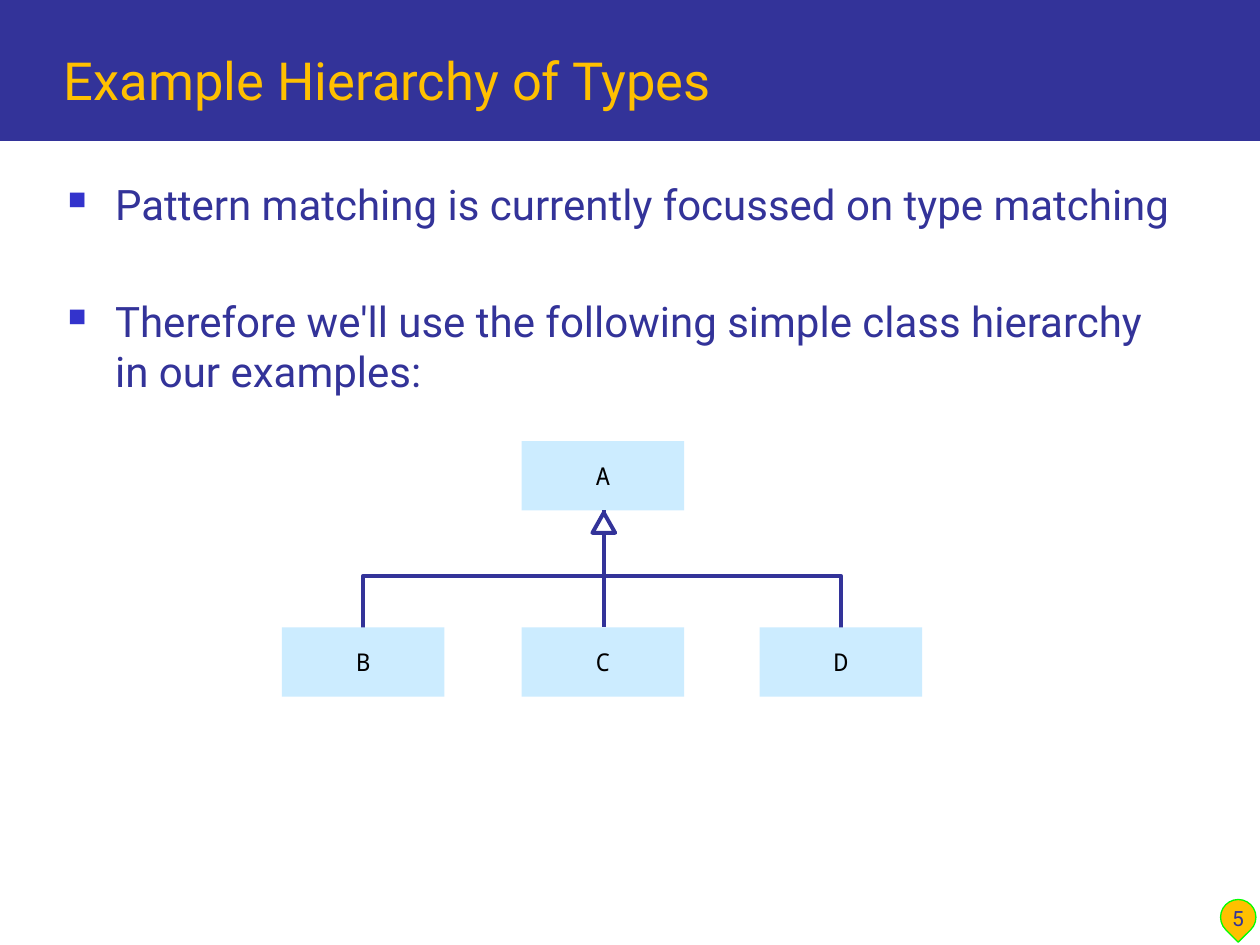
from dataclasses import dataclass

from lxml.etree import SubElement
from pptx import Presentation
from pptx.dml.color import RGBColor
from pptx.enum.shapes import MSO_CONNECTOR as Connector, MSO_SHAPE as Shape
from pptx.enum.text import MSO_ANCHOR as Anchor, PP_ALIGN as Align
from pptx.oxml.ns import qn
from pptx.util import Pt

COLORS = {
    "navy": "333399",
    "bullet": "3333CC",
    "gold": "FFC000",
    "green": "00FF00",
    "box": "CCECFF",
    "white": "FFFFFF",
    "black": "000000",
}
BOX_W, BOX_H = 93, 39.6
LINE_W = 2.25
TOP_Y, CHILD_Y, BAR_Y = 252, 358.5, 329
STEM_X = 345


@dataclass(frozen=True)
class TypeBox:
    name: str
    x: float
    y: float


PARENT = TypeBox("A", 298, TOP_Y)
LEFT, MIDDLE, RIGHT = (
    TypeBox(name, x, CHILD_Y) for name, x in (("B", 161), ("C", 298), ("D", 434))
)


def color(name: str) -> RGBColor:
    return RGBColor.from_string(COLORS[name])


def style(s, fill: str | None = None, line: str | None = None, width: float = LINE_W):
    s.shadow.inherit = False
    if fill:
        s.fill.solid()
        s.fill.fore_color.rgb = color(fill)
    else:
        s.fill.background()
    if line:
        s.line.color.rgb = color(line)
        s.line.width = Pt(width)
    else:
        s.line.fill.background()
    return s


def add_preset(slide, kind, x: float, y: float, w: float, h: float, **fmt):
    return style(slide.shapes.add_shape(kind, Pt(x), Pt(y), Pt(w), Pt(h)), **fmt)


def add_textbox(slide, x: float, y: float, w: float, h: float, anchor=Anchor.TOP):
    tf = slide.shapes.add_textbox(Pt(x), Pt(y), Pt(w), Pt(h)).text_frame
    tf.word_wrap = True
    tf.vertical_anchor = anchor
    return tf


def write(p, text: str, *, size: float, fill: str, font: str = "Roboto",
          align=Align.LEFT, before: float = 0) -> None:
    p.alignment = align
    p.space_before = Pt(before)
    for i, line in enumerate(text.split("\n")):
        if i:
            p.add_line_break()
        r = p.add_run()
        r.text = line
        r.font.name = font
        r.font.size = Pt(size)
        r.font.color.rgb = color(fill)


def add_bullet(p) -> None:
    pPr = p._p.get_or_add_pPr()
    pPr.set("marL", str(Pt(27)))
    pPr.set("indent", str(-Pt(27)))
    clr = SubElement(pPr, qn("a:buClr"))
    SubElement(clr, qn("a:srgbClr"), val=COLORS["bullet"])
    SubElement(pPr, qn("a:buSzPct"), val="60000")
    SubElement(pPr, qn("a:buChar"), char="■")


def add_type_box(slide, box: TypeBox) -> None:
    s = add_preset(slide, Shape.RECTANGLE, box.x, box.y, BOX_W, BOX_H, fill="box")
    tf = s.text_frame
    tf.vertical_anchor = Anchor.MIDDLE
    write(tf.paragraphs[0], box.name, size=14, fill="black",
          font="Noto Sans Mono", align=Align.CENTER)


def add_inheritance_arrow(slide) -> None:
    s = slide.shapes.add_connector(
        Connector.STRAIGHT, Pt(STEM_X), Pt(TOP_Y + BOX_H), Pt(STEM_X), Pt(CHILD_Y))
    s.line.color.rgb = color("navy")
    s.line.width = Pt(LINE_W)
    SubElement(s._element.spPr, qn("a:effectLst"))
    add_preset(slide, Shape.ISOSCELES_TRIANGLE, STEM_X - 6.5, 293, 13, 11.5,
               fill="white", line="navy")


def add_branch(slide) -> None:
    left, right = LEFT.x + BOX_W / 2, RIGHT.x + BOX_W / 2
    fb = slide.shapes.build_freeform(Pt(left), Pt(CHILD_Y + 3))
    fb.add_line_segments(
        [(Pt(left), Pt(BAR_Y)), (Pt(right), Pt(BAR_Y)), (Pt(right), Pt(CHILD_Y + 15))],
        close=False)
    style(fb.convert_to_shape(), line="navy")


def main() -> None:
    prs = Presentation()
    prs.slide_width, prs.slide_height = Pt(720), Pt(540)
    slide = prs.slides.add_slide(prs.slide_layouts[6])

    add_preset(slide, Shape.RECTANGLE, 0, 0, 720, 80.6, fill="navy")
    marker = add_preset(slide, Shape.TEAR, 697.5, 514, 20.2, 20.2,
                        fill="gold", line="green", width=0.75)
    marker.rotation = 135

    tf = add_textbox(slide, 31.7, 95.8, 668, 389)
    tf.margin_top = Pt(6)
    bullets = (
        ("Pattern matching is currently focussed on type matching", 0),
        ("Therefore we'll use the following simple class hierarchy \nin our examples:", 38),
    )
    for i, (text, before) in enumerate(bullets):
        p = tf.add_paragraph() if i else tf.paragraphs[0]
        write(p, text, size=24, fill="navy", before=before)
        add_bullet(p)

    tf = add_textbox(slide, 29.5, 12.2, 673, 55, Anchor.BOTTOM)
    write(tf.paragraphs[0], "Example Hierarchy of Types", size=30, fill="gold")
    tf = add_textbox(slide, 687, 499.7, 41, 36, Anchor.BOTTOM)
    write(tf.paragraphs[0], "5", size=12, fill="navy", align=Align.CENTER)

    add_type_box(slide, PARENT)
    add_inheritance_arrow(slide)
    add_type_box(slide, MIDDLE)
    add_branch(slide)
    for box in (LEFT, RIGHT):
        add_type_box(slide, box)

    prs.save("out.pptx")


if __name__ == "__main__":
    main()
